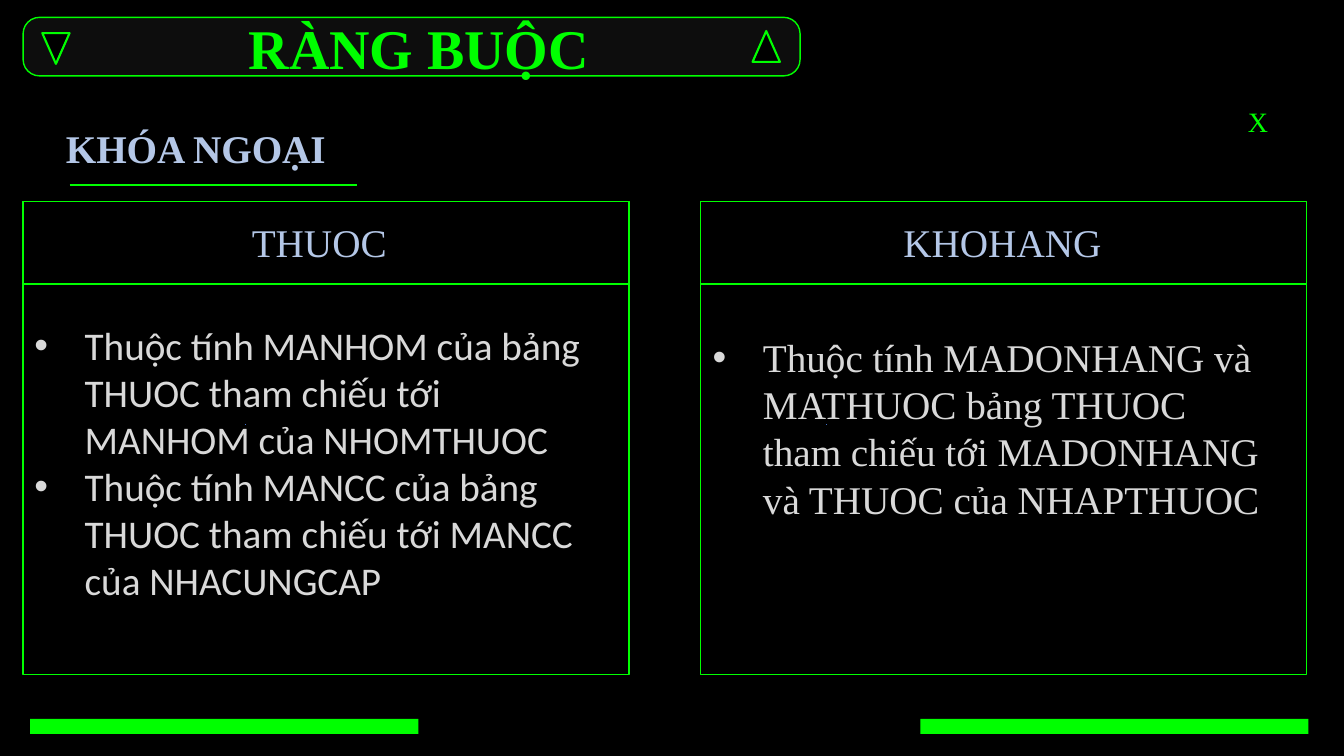
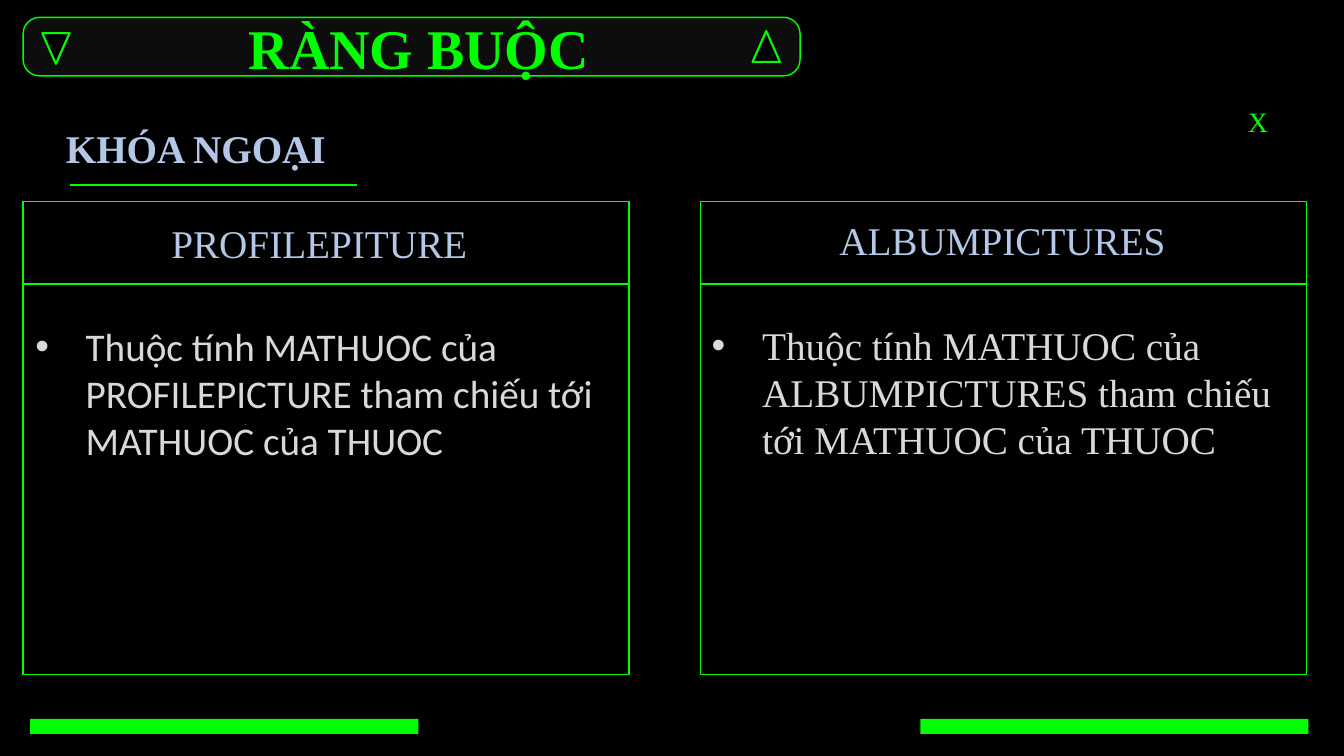
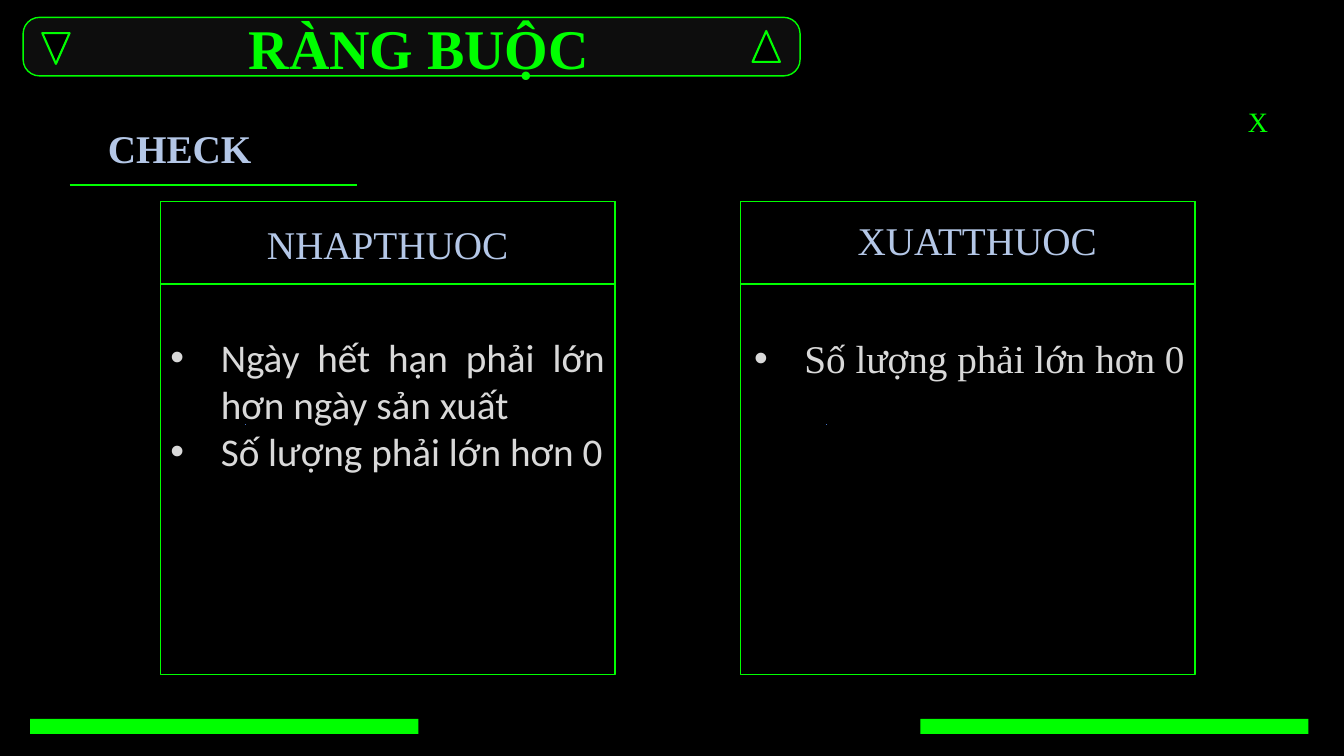
from dataclasses import dataclass

from lxml.etree import SubElement
from pptx import Presentation
from pptx.dml.color import RGBColor
from pptx.enum.shapes import MSO_CONNECTOR, MSO_SHAPE
from pptx.enum.text import MSO_ANCHOR, MSO_AUTO_SIZE, PP_ALIGN
from pptx.oxml.ns import qn
from pptx.util import Pt


@dataclass(frozen=True)
class Theme:
    background: str = "000000"
    banner: str = "0D0D0D"
    accent: str = "00FF00"
    heading: str = "B4C7E7"
    body: str = "D9D9D9"
    speck: str = "4472C4"
    serif: str = "Times New Roman"
    sans: str = "Calibri"
    title_size: int = 40
    text_size: int = 28
    mark_size: int = 20


T = Theme()
LEFT, CENTER, JUSTIFY = PP_ALIGN.LEFT, PP_ALIGN.CENTER, PP_ALIGN.JUSTIFY

# Content; heading is (text, centre, top), body is (left, top, width, lines)
TITLE = "RÀNG BUỘC"
SLIDES = [
    dict(section="KHÓA NGOẠI", section_left=40, frames=(16.5, 500.4), width=432.7,
         align=LEFT, panels=[
             dict(heading=("THUOC", 228, 152.6), body=(17.3, 226, 421, 6), items=[
                 "Thuộc tính MANHOM của bảng THUOC tham chiếu tới MANHOM của NHOMTHUOC",
                 "Thuộc tính MANCC của bảng THUOC tham chiếu tới MANCC của NHACUNGCAP"]),
             dict(heading=("KHOHANG", 716, 152.6), body=(501.8, 234.7, 415, 4), items=[
                 "Thuộc tính MADONHANG và MATHUOC bảng THUOC tham chiếu tới "
                 "MADONHANG và THUOC của NHAPTHUOC"]),
         ]),
    dict(section="KHÓA NGOẠI", section_left=40, frames=(16.5, 500.4), width=432.7,
         align=LEFT, panels=[
             dict(heading=("PROFILEPITURE", 228, 153), body=(18, 226.8, 420, 3), items=[
                 "Thuộc tính MATHUOC của PROFILEPICTURE tham chiếu tới MATHUOC của THUOC"]),
             dict(heading=("ALBUMPICTURES", 716, 151), body=(501.2, 226, 417, 3), items=[
                 "Thuộc tính MATHUOC của ALBUMPICTURES tham chiếu tới MATHUOC của THUOC"]),
         ]),
    dict(section="CHECK", section_left=70, frames=(114.5, 529), width=324.7,
         align=JUSTIFY, panels=[
             dict(heading=("NHAPTHUOC", 276.8, 154), body=(114.5, 234.7, 324.7, 3), items=[
                 "Ngày hết hạn phải lớn hơn ngày sản xuất",
                 "Số lượng phải lớn hơn 0"]),
             dict(heading=("XUATTHUOC", 698, 151), body=(531.4, 235, 324.7, 1), items=[
                 "Số lượng phải lớn hơn 0"]),
         ]),
]

# Shared geometry, in points
FRAME_TOP, FRAME_HEIGHT, HEADER_HEIGHT = 144, 337.7, 59
HEADING_WIDTH, LINE_HEIGHT, INSETS = 264, 33.9, 7.2
BULLET_INDENT = 36
FOOTERS = (21.6, 657.4)
SPECKS = (175, 590)


def rgb(value):
    return RGBColor.from_string(value)


def place(sp, left, top, width, height):
    sp.left, sp.top, sp.width, sp.height = Pt(left), Pt(top), Pt(width), Pt(height)


def write(sp, lines, size, color, font=T.serif, bold=False, align=LEFT):
    tf = sp.text_frame
    tf.text = "\n".join(lines)
    tf.word_wrap = True
    tf.auto_size = MSO_AUTO_SIZE.NONE
    tf.vertical_anchor = MSO_ANCHOR.TOP
    for p in tf.paragraphs:
        p.alignment = align
        p.space_before = Pt(0)
        p.line_spacing = 1.0
        for r in p.runs:
            r.font.size, r.font.name, r.font.bold = Pt(size), font, bold
            r.font.color.rgb = rgb(color)


def add_bullets(tf):
    for p in tf.paragraphs:
        pPr = p._p.get_or_add_pPr()
        pPr.set("marL", str(Pt(BULLET_INDENT)))
        pPr.set("indent", str(-Pt(BULLET_INDENT)))
        SubElement(pPr, qn("a:buFont")).set("typeface", "Arial")
        SubElement(pPr, qn("a:buChar")).set("char", "•")


def add_outline(r):
    rPr = r._r.get_or_add_rPr()
    ln = SubElement(rPr, qn("a:ln"), w=str(Pt(0.75)))
    SubElement(SubElement(ln, qn("a:solidFill")), qn("a:srgbClr")).set("val", T.accent)
    rPr.insert(0, ln)


def add_box(s, kind, box, fill=None, line_width=None):
    sp = s.shapes.add_shape(kind, *map(Pt, box))
    sp.shadow.inherit = False
    if fill:
        sp.fill.solid()
        sp.fill.fore_color.rgb = rgb(fill)
    else:
        sp.fill.background()
    if line_width:
        sp.line.color.rgb = rgb(T.accent)
        sp.line.width = Pt(line_width)
    else:
        sp.line.fill.background()
    return sp


def add_line(s, left, right, y, color, width):
    line = s.shapes.add_connector(MSO_CONNECTOR.STRAIGHT, Pt(left), Pt(y), Pt(right), Pt(y))
    line.line.color.rgb = rgb(color)
    line.line.width = Pt(width)
    SubElement(line._element.spPr, qn("a:effectLst"))


def add_text(s, box, text, size, color, bold=False):
    sp = s.shapes.add_textbox(*map(Pt, box))
    write(sp, [text], size, color, bold=bold)


def add_common(s):
    # Title banner, kept behind the title text
    banner = add_box(s, MSO_SHAPE.ROUNDED_RECTANGLE, (16.5, 12.4, 555, 41.8), T.banner, 1)
    banner.adjustments[0] = 0.28
    s.shapes._spTree.insert(2, banner._element)
    title = s.shapes.title
    place(title, 114.5, 5.8, 369.4, 55.4)
    write(title, [TITLE], T.title_size, T.accent, bold=True, align=CENTER)
    add_outline(title.text_frame.paragraphs[0].runs[0])
    for left, top, angle in ((30.2, 23.6, 180), (537.6, 22.2, 0)):
        triangle = add_box(s, MSO_SHAPE.ISOSCELES_TRIANGLE, (left, top, 19.5, 22),
                           T.background, 1.5)
        triangle.rotation = angle
    # Footer bars, close mark and section rule
    for left in FOOTERS:
        add_box(s, MSO_SHAPE.RECTANGLE, (left, 513.4, 277.2, 10.8), T.accent)
    add_text(s, (884.2, 71.3, 30, 31.7), "X", T.mark_size, T.accent)
    add_line(s, 49.7, 254.9, 132.3, T.accent, 1.5)
    for left in SPECKS:
        add_line(s, left, left + 0.5, 303, T.speck, 0.5)


def add_panel(s, panel, left, width, font, align, heading, body):
    for height in (FRAME_HEIGHT, HEADER_HEIGHT):
        add_box(s, MSO_SHAPE.RECTANGLE, (left, FRAME_TOP, width, height), line_width=1)
    text, center, top = panel["heading"]
    place(heading, center - HEADING_WIDTH / 2, top, HEADING_WIDTH, 41)
    write(heading, [text], T.text_size, T.heading, align=CENTER)
    x, y, w, lines = panel["body"]
    place(body, x, y, w, lines * LINE_HEIGHT + INSETS)
    write(body, panel["items"], T.text_size, T.body, font, align=align)
    add_bullets(body.text_frame)


def main():
    prs = Presentation()
    prs.slide_width, prs.slide_height = Pt(960), Pt(540)
    fill = prs.slide_master.background.fill
    fill.solid()
    fill.fore_color.rgb = rgb(T.background)
    comparison = prs.slide_layouts.get_by_name("Comparison")

    for content in SLIDES:
        s = prs.slides.add_slide(comparison)
        add_common(s)
        add_text(s, (content["section_left"], 85, 219, 41), content["section"],
                 T.text_size, T.heading, bold=True)
        # Left panel in sans, right panel in serif
        ph = {p.placeholder_format.idx: p for p in s.placeholders}
        slots = ((T.sans, ph[1], ph[2]), (T.serif, ph[3], ph[4]))
        for panel, left, (font, heading, body) in zip(
                content["panels"], content["frames"], slots):
            add_panel(s, panel, left, content["width"], font, content["align"], heading, body)

    prs.save("out.pptx")


if __name__ == "__main__":
    main()
